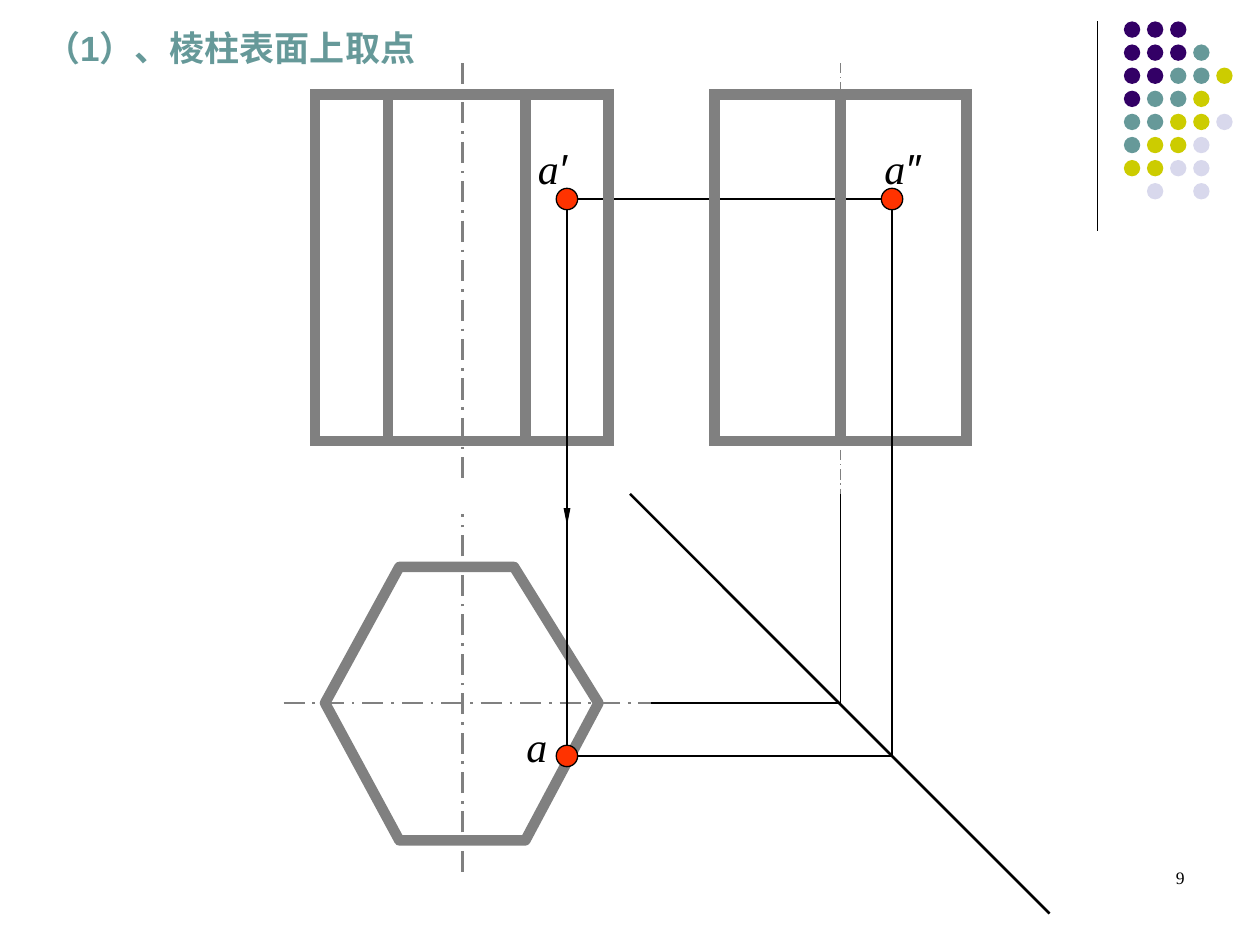
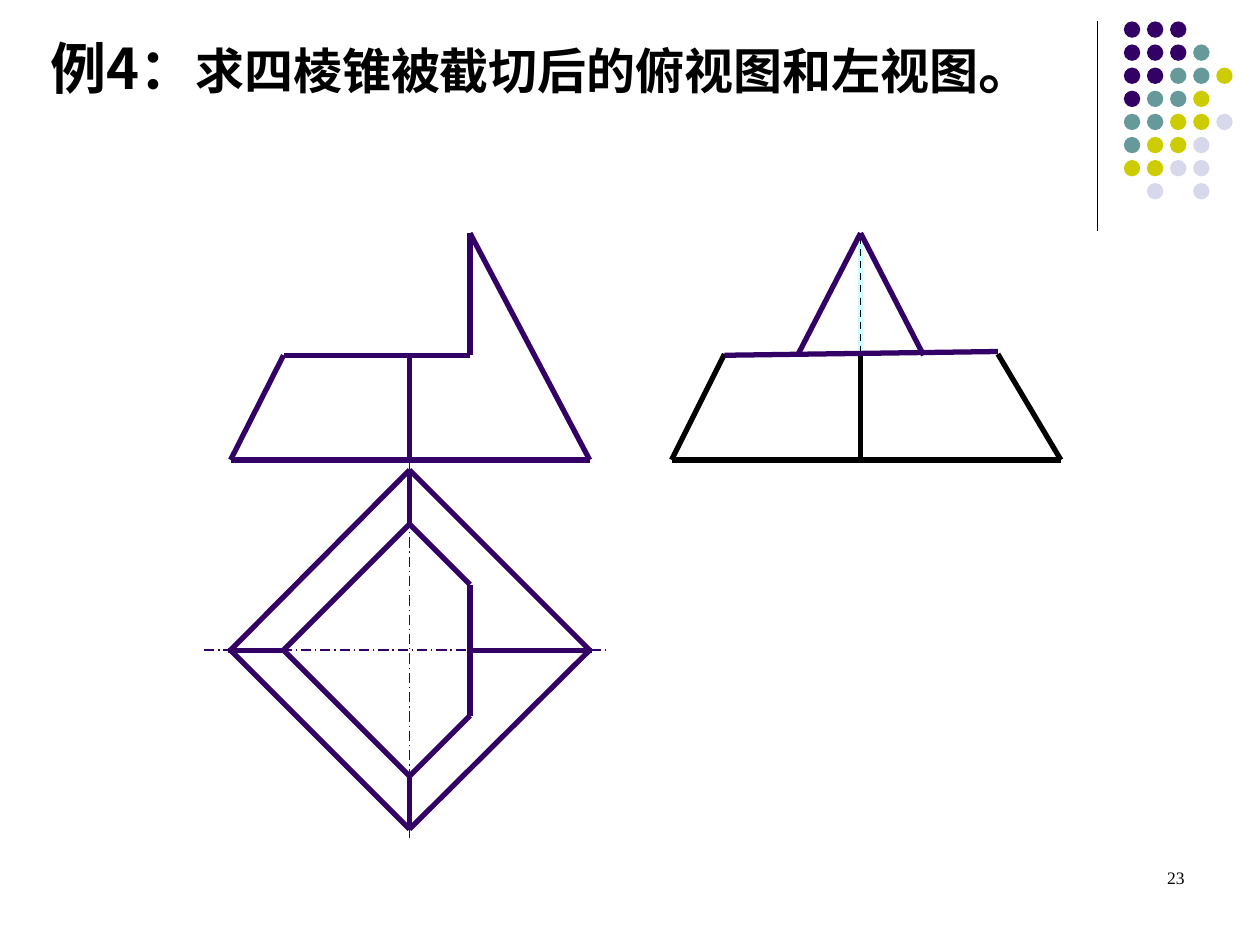
from itertools import pairwise

from pptx import Presentation
from pptx.dml.color import RGBColor
from pptx.enum import dml, shapes, text
from pptx.oxml.ns import qn
from pptx.util import Inches, Pt

COLORS = {
    "purple": "330066", "teal": "669999", "olive": "CCCC00", "lilac": "D8D8EC",
    "black": "000000", "gray": "808080", "red": "FF3300", "cyan": "CCFFFF",
}
SERIF, SANS, CJK = "Times New Roman", "Arial", "Noto Sans CJK SC"

# Corner ornament: one letter per dot, a dot (.) leaves the place empty
DOT_ROWS = ["PPP", "PPPT", "PPTTO", "PTTO", "TTOOL", "TOOL", "OOLL", ".L.L"]
DOT_COLORS = {"P": "purple", "T": "teal", "O": "olive", "L": "lilac"}
DOT_LEFT, DOT_TOP, DOT_SIZE = 8.92, 0.17, 0.13
DOT_STEP = 0.55 / 3

# Prism: the three views of a point on its surface
PRISM_TITLE = "（1）、棱柱表面上取点"
HELPER_LINES = [
    ([(5.17, 5.58), (6.67, 5.58), (6.67, 3.92)], 0.75),
    ([(5, 3.92), (8.33, 7.25)], 1.5),
    ([(4.5, 6), (7.08, 6)], 1.5),
    ([(4.5, 1.58), (7.08, 1.58)], 1.5),
]
FRONT_VIEW = (2.5, 0.75, 2.33, 2.75)
SIDE_VIEW = (5.67, 0.75, 2, 2.75)
HEXAGON = [(3.17, 4.5), (4.08, 4.5), (4.75, 5.58),
           (4.17, 6.67), (3.17, 6.67), (2.58, 5.58)]
FRONT_EDGES = [3.08, 4.17]
PRISM_AXES = [
    ([(3.67, 0.5), (3.67, 3.83)], 1.5),
    ([(2.25, 5.58), (5.17, 5.58)], 1.5),
    ([(3.67, 6.92), (3.67, 4.08)], 1.5),
    ([(6.67, 0.5), (6.67, 3.92)], 0.75),
]
# point centre, label box, label letter, prime mark
POINTS = [
    ((4.5, 1.58), (4.17, 1.08, 0.92, 0.5), "a", "′"),
    ((4.5, 6), (4.08, 5.67, 0.83, 0.5), "a", ""),
    ((7.08, 1.58), (6.92, 1.08, 0.83, 0.5), "a", "″"),
]
POINT_SIZE = 0.17

# Pyramid: the three views after the cut
PYRAMID_TITLE = [("例4：", 32), ("求四棱锥被截切后的俯视图和左视图", 28), ("。", 32)]
PYRAMID_AXES = [[(1.62, 5.16), (4.83, 5.16)], [(3.25, 3.65), (3.25, 6.65)]]
CUT_FRONT = [
    [(2.25, 2.82), (1.83, 3.65), (4.68, 3.65), (3.73, 1.85), (3.73, 2.82), (2.25, 2.82)],
    [(3.25, 2.82), (3.25, 3.65)],
]
CUT_TOP = [
    [(1.83, 5.16), (3.25, 3.73), (4.68, 5.16), (3.25, 6.58), (1.83, 5.16)],
    [(3.73, 4.64), (3.25, 4.16), (2.25, 5.16), (3.25, 6.16), (3.73, 5.68), (3.73, 4.64)],
    [(1.81, 5.16), (2.25, 5.16)],
    [(3.73, 5.16), (4.7, 5.16)],
    [(3.25, 3.73), (3.25, 4.16)],
    [(3.25, 6.16), (3.25, 6.58)],
]
CUT_SIDE_BODY = [
    [(5.75, 2.81), (5.33, 3.65), (8.42, 3.65), (7.92, 2.81)],
    [(6.83, 2.81), (6.83, 3.65)],
]
HIDDEN_EDGE = [(6.83, 1.88), (6.83, 2.81)]
CUT_SIDE_TIP = [[(6.33, 2.82), (6.83, 1.85), (7.33, 2.82)], [(5.75, 2.82), (7.92, 2.79)]]


def rgb(name):
    return RGBColor.from_string(COLORS[name])


def inches(values):
    return [Inches(value) for value in values]


def add_child(parent, tag, **attributes):
    child = parent.makeelement(qn(tag), attributes)
    parent.append(child)
    return child


def style_line(item, color, width, dash=None):
    item.line.color.rgb = rgb(color)
    item.line.width = Pt(width)
    if dash:
        item.line.dash_style = dash


def draw_lines(page, points, color, width, dash=None):
    """Join consecutive points with straight lines; return the last one."""
    for start, end in pairwise(points):
        line = page.shapes.add_connector(
            shapes.MSO_CONNECTOR.STRAIGHT, *inches(start + end))
        style_line(line, color, width, dash)
        add_child(line._element.spPr, "a:effectLst")
    return line


def draw_axis(page, points, color, width):
    draw_lines(page, points, color, width, dml.MSO_LINE.LONG_DASH_DOT)


def draw_dot(page, center, size, fill, outline=None):
    left, top = (value - size / 2 for value in center)
    dot = page.shapes.add_shape(
        shapes.MSO_SHAPE.OVAL, *inches((left, top, size, size)))
    dot.shadow.inherit = False
    dot.fill.solid()
    dot.fill.fore_color.rgb = rgb(fill)
    if outline:
        style_line(dot, outline, 0.75)
    else:
        dot.line.fill.background()


def style_solid_edge(shape):
    shape.shadow.inherit = False
    shape.fill.background()
    style_line(shape, "gray", 6)


def draw_view(page, place):
    view = page.shapes.add_shape(shapes.MSO_SHAPE.RECTANGLE, *inches(place))
    style_solid_edge(view)
    add_child(view.line._get_or_add_ln(), "a:miter", lim="800000")
    return view


def draw_hexagon(page):
    first, *others = [inches(corner) for corner in HEXAGON]
    outline = page.shapes.build_freeform(*first)
    outline.add_line_segments(others, close=True)
    hexagon = outline.convert_to_shape()
    style_solid_edge(hexagon)
    add_child(hexagon.line._get_or_add_ln(), "a:round")


def write(page, place, spans, color="black", bold=False, italic=False, wrap=True):
    """Add a text box of one paragraph from (words, size, font) spans."""
    box = page.shapes.add_textbox(*inches(place))
    box.text_frame.word_wrap = wrap
    para = box.text_frame.paragraphs[0]
    for words, size, font in spans:
        span = para.add_run()
        span.text = words
        span.font.size, span.font.name = Pt(size), font
        span.font.bold, span.font.italic = bold, italic
        span.font.color.rgb = rgb(color)
        add_child(span.font._element, "a:ea", typeface=CJK)
    return para


def start_page(deck, number):
    page = deck.slides.add_slide(deck.slide_layouts[6])
    draw_lines(page, [(8.71, 0.17), (8.71, 1.83)], "black", 0.75)
    for row, letters in enumerate(DOT_ROWS):
        for column, letter in enumerate(letters):
            if letter in DOT_COLORS:
                center = (DOT_LEFT + DOT_SIZE / 2 + column * DOT_STEP,
                          DOT_TOP + DOT_SIZE / 2 + row * DOT_STEP)
                draw_dot(page, center, DOT_SIZE, DOT_COLORS[letter])
    para = write(page, (7.17, 6.83, 2.33, 0.5), [(str(number), 10, SERIF)])
    para.alignment = text.PP_ALIGN.RIGHT
    return page


def build_prism(deck):
    page = start_page(deck, 9)
    for points, width in HELPER_LINES:
        draw_lines(page, points, "black", width)

    draw_view(page, FRONT_VIEW)
    side = draw_view(page, SIDE_VIEW)
    draw_hexagon(page)

    top, bottom = FRONT_VIEW[1], FRONT_VIEW[1] + FRONT_VIEW[3]
    for x in FRONT_EDGES:
        draw_lines(page, [(x, top), (x, bottom)], "gray", 6)
    middle = draw_lines(page, [(6.67, top), (6.67, bottom)], "gray", 6)
    middle.begin_connect(side, 0)
    middle.end_connect(side, 2)
    for points, width in PRISM_AXES:
        draw_axis(page, points, "gray", width)

    arrow = draw_lines(page, [(4.5, 1.67), (4.5, 4.17)], "black", 1.5)
    add_child(arrow.line._get_or_add_ln(), "a:tailEnd",
              type="triangle", w="sm", len="lg")
    draw_lines(page, [(4.5, 4.09), (4.5, 6)], "black", 1.5)
    draw_lines(page, [(7.08, 6), (7.08, 1.58)], "black", 1.5)
    for center, label_place, letter, prime in POINTS:
        draw_dot(page, center, POINT_SIZE, "red", "black")
        spans = [(letter, 24, SERIF)] + ([(prime, 24, SANS)] if prime else [])
        write(page, label_place, spans, italic=True)
    write(page, (0.26, 0.16, 3.27, 0.44), [(PRISM_TITLE, 20, SANS)],
          color="teal", bold=True, wrap=False)


def build_pyramid(deck):
    page = start_page(deck, 23)
    for points in PYRAMID_AXES:
        draw_axis(page, points, "purple", 0.75)
    for points in CUT_FRONT + CUT_TOP:
        draw_lines(page, points, "purple", 3)
    for points in CUT_SIDE_BODY:
        draw_lines(page, points, "black", 3)
    draw_lines(page, HIDDEN_EDGE, "cyan", 3)
    draw_lines(page, HIDDEN_EDGE, "black", 1, dml.MSO_LINE.DASH)
    for points in CUT_SIDE_TIP:
        draw_lines(page, points, "purple", 3)
    title = write(page, (0.3, 0.29, 7.7, 1.2),
                  [(words, size, CJK) for words, size in PYRAMID_TITLE], bold=True)
    title.line_spacing = 0.87


def main():
    deck = Presentation()
    deck.slide_width, deck.slide_height = Inches(10), Inches(7.5)
    build_prism(deck)
    build_pyramid(deck)
    deck.save("out.pptx")


if __name__ == "__main__":
    main()
